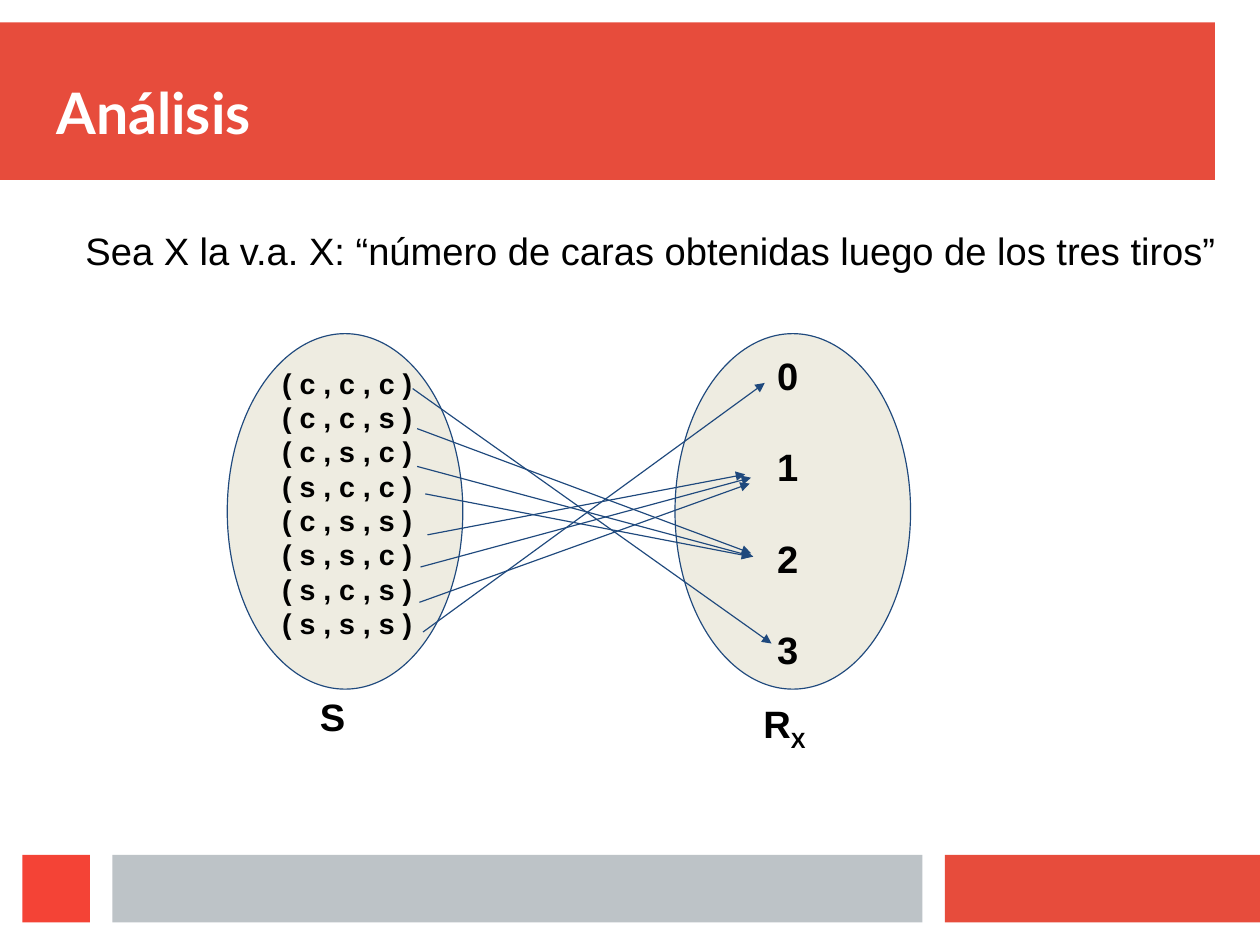
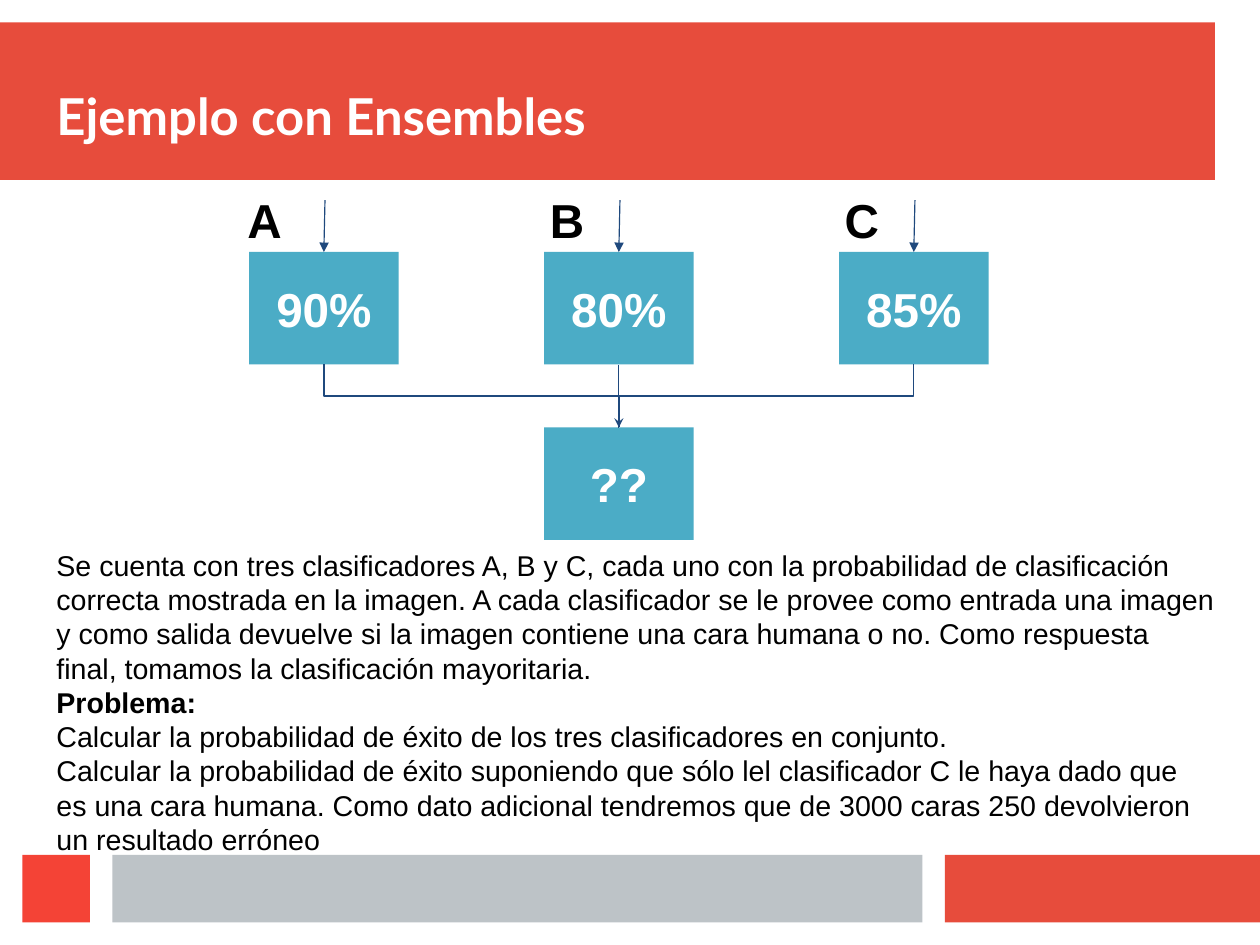
from pptx import Presentation
from pptx.dml.color import RGBColor
from pptx.enum.shapes import MSO_CONNECTOR, MSO_SHAPE
from pptx.enum.text import MSO_ANCHOR, MSO_AUTO_SIZE, PP_ALIGN
from pptx.oxml.ns import qn
from pptx.util import Inches, Mm, Pt
from lxml.etree import SubElement

# Shared grid: the slide is 56 columns by 42 rows of square cells
CELL = Mm(5)
COLUMNS, ROWS = 56, 42

RED = RGBColor(0xE7, 0x4C, 0x3C)
BRIGHT_RED = RGBColor(0xF4, 0x43, 0x36)
GRAY = RGBColor(0xBD, 0xC3, 0xC7)
CREAM = RGBColor(0xEE, 0xEC, 0xE1)
NAVY = RGBColor(0x1F, 0x49, 0x7D)
TEAL = RGBColor(0x4B, 0xAC, 0xC6)
BLACK = RGBColor(0, 0, 0)
WHITE = RGBColor(0xFF, 0xFF, 0xFF)

BANDS = [
    ((0, 1, 54, 7), RED),
    ((42, 38, 14, 3), RED),
    ((5, 38, 36, 3), GRAY),
    ((1, 38, 3, 3), BRIGHT_RED),
]
TITLE_AREA = (2, 2, 52, 5)

OUTCOMES = ["( c , c , c )", "( c , c , s )", "( c , s , c )", "( s , c , c )",
            "( c , s , s )", "( s , s , c )", "( s , c , s )", "( s , s , s )"]
# One arrow per outcome: start column, start row, end column, end row
OUTCOME_ARROWS = [
    (18.34, 17.27, 34.29, 28.6),
    (18.54, 19.05, 33.38, 24.59),
    (18.54, 20.73, 33.48, 24.74),
    (18.9, 21.95, 33.38, 24.74),
    (19, 23.77, 33.12, 21.08),
    (18.69, 25.2, 33.38, 21.23),
    (18.64, 26.77, 33.32, 21.49),
    (18.8, 28.09, 33.99, 17.02),
]

# Classifier name, accuracy, and distance from box edge to the name's centre
CLASSIFIERS = [("A", "90%", 0.69), ("B", "80%", 1.02), ("C", "85%", 1.02)]
BOX_LEFT, BOX_STEP, BOX_WIDTH, BOX_HEIGHT = 11.07, 13.11, 6.65, 5
CLASSIFIER_TOP, RESULT_TOP = 11.2, 19

PROBLEM = [
    "Se cuenta con tres clasificadores A, B y C, cada uno con la probabilidad de "
    "clasificación correcta mostrada en la imagen. A cada clasificador se le provee "
    "como entrada una imagen y como salida devuelve si la imagen contiene una cara "
    "humana o no. Como respuesta final, tomamos la clasificación mayoritaria.",
    "Problema:",
    "Calcular la probabilidad de éxito de los tres clasificadores en conjunto.",
    "Calcular la probabilidad de éxito suponiendo que sólo lel clasificador C le haya "
    "dado que es una cara humana. Como dato adicional tendremos que de 3000 caras 250 "
    "devolvieron un resultado erróneo",
]


def cells(*counts):
    return [round(count * CELL) for count in counts]


def place(shape, area):
    shape.left, shape.top, shape.width, shape.height = cells(*area)


def write(shape, lines, size, color=BLACK, bold=True, font="Arial",
          align=PP_ALIGN.LEFT, anchor=MSO_ANCHOR.TOP, gap=0):
    """Fill a shape with one paragraph per line, all in one style."""
    frame = shape.text_frame
    frame.text = "\n".join(lines)
    frame.word_wrap = True
    frame.auto_size = MSO_AUTO_SIZE.NONE
    frame.vertical_anchor = anchor
    frame.margin_left = frame.margin_right = Inches(0.1)
    frame.margin_top = frame.margin_bottom = Inches(0.1)
    for index, paragraph in enumerate(frame.paragraphs):
        paragraph.alignment = align
        paragraph.space_before = Pt(gap if index else 0)
        for run in paragraph.runs:
            run.font.name = font
            run.font.size = Pt(size)
            run.font.bold = bold
            run.font.color.rgb = color


def add_text(slide, area, lines, size, **style):
    box = slide.shapes.add_textbox(*cells(*area))
    write(box, lines, size, **style)
    return box


def add_filled(slide, kind, area, fill, line=None):
    shape = slide.shapes.add_shape(kind, *cells(*area))
    shape.shadow.inherit = False
    shape.fill.solid()
    shape.fill.fore_color.rgb = fill
    if line is None:
        shape.line.fill.background()
    else:
        shape.line.color.rgb = line
        shape.line.width = Pt(0.75)
    return shape


def add_line(slide, ends, kind=MSO_CONNECTOR.STRAIGHT, head=None):
    connector = slide.shapes.add_connector(kind, *cells(*ends))
    connector.line.color.rgb = NAVY
    connector.line.width = Pt(0.75)
    if head:
        SubElement(connector.line._get_or_add_ln(), qn("a:tailEnd"), type=head)
    SubElement(connector._element.spPr, qn("a:effectLst"))
    return connector


def join_down(slide, upper, lower, head=None):
    """Join the bottom of one box to the top of another, bending halfway."""
    start, end = upper.left + upper.width // 2, lower.left + lower.width // 2
    kind = MSO_CONNECTOR.STRAIGHT if start == end else MSO_CONNECTOR.ELBOW
    connector = add_line(slide, (0, 0, 1, 1), kind, head)
    connector.begin_connect(upper, 2)
    connector.end_connect(lower, 0)
    if start == end:
        return
    # A vertical elbow is a horizontal one turned a quarter about its centre
    top = upper.top + upper.height
    drop, span = lower.top - top, abs(end - start)
    connector.left = (start + end - drop) // 2
    connector.top = top + (drop - span) // 2
    connector.width, connector.height = drop, span
    transform = connector._element.spPr.find(qn("a:xfrm"))
    transform.set("rot", "16200000" if start < end else "5400000")
    transform.set("flipH", "1" if start < end else "0")


def build_master(presentation, slide):
    """Draw the bands once and move them behind everything on the master."""
    master = presentation.slide_master
    for position, (area, color) in enumerate(BANDS):
        band = add_filled(slide, MSO_SHAPE.RECTANGLE, area, color)
        master.shapes._spTree.insert(2 + position, band._element)
    place(master.placeholders[0], TITLE_AREA)


def add_title(slide, text, size):
    title = slide.shapes.title
    place(title, TITLE_AREA)
    write(title, [text], size, color=WHITE, font="Lato", anchor=MSO_ANCHOR.BOTTOM)


def build_analysis(slide):
    add_title(slide, "Análisis", 36)

    # Sample space and range
    for left in (10.1, 30):
        add_filled(slide, MSO_SHAPE.OVAL, (left, 14.83, 10.47, 15.8), CREAM, NAVY)
    add_text(slide, (12.04, 15.75, 8, 14), OUTCOMES, 18)
    add_text(slide, (3.3, 9.8, 52.7, 2.66),
             ["Sea X la v.a. X: “número de caras obtenidas luego de los tres tiros”"],
             24, bold=False, anchor=MSO_ANCHOR.MIDDLE)
    add_text(slide, (34.04, 15.14, 4, 15.5), ["0", "1", "2", "3"], 24, gap=28.8)

    # Mapping from outcomes to values
    for ends in OUTCOME_ARROWS:
        add_line(slide, ends, head="triangle")

    # Set names
    add_text(slide, (13.72, 30.33, 4, 3), ["S"], 24)
    range_name = add_text(slide, (33.43, 30.63, 5, 3), ["R"], 24)
    subscript = range_name.text_frame.paragraphs[0].add_run()
    subscript.text = "X"
    subscript.font.name, subscript.font.size = "Arial", Pt(24)
    subscript.font.bold, subscript.font.color.rgb = True, BLACK
    subscript.font._element.set("baseline", "-25000")


def add_box(slide, column, top, text):
    area = (BOX_LEFT + column * BOX_STEP, top, BOX_WIDTH, BOX_HEIGHT)
    box = add_filled(slide, MSO_SHAPE.RECTANGLE, area, TEAL)
    write(box, [text], 30, color=WHITE, align=PP_ALIGN.CENTER, anchor=MSO_ANCHOR.MIDDLE)
    return box


def build_ensembles(slide):
    add_title(slide, "Ejemplo con Ensembles", 32)

    # Problem statement
    body = slide.placeholders[1]
    place(body, (2, 23.83, 52.5, 13.6))
    write(body, PROBLEM, 18, bold=False)
    for paragraph in body.text_frame.paragraphs:
        properties = paragraph._p.get_or_add_pPr()
        properties.set("marL", "0")
        properties.set("indent", "0")
        SubElement(properties, qn("a:buNone"))
    body.text_frame.paragraphs[1].runs[0].font.bold = True

    # Classifiers feeding the joint result
    result = add_box(slide, 1, RESULT_TOP, "??")
    for column, (name, accuracy, offset) in enumerate(CLASSIFIERS):
        box = add_box(slide, column, CLASSIFIER_TOP, accuracy)
        left = BOX_LEFT + column * BOX_STEP
        add_text(slide, (left + offset - 2, 8.13, 4, 3.25), [name], 30,
                 align=PP_ALIGN.CENTER, anchor=MSO_ANCHOR.MIDDLE)
        middle = left + BOX_WIDTH / 2
        arrow = add_line(slide, (middle + 0.05, 8.89, middle, CLASSIFIER_TOP),
                         head="triangle")
        arrow.end_connect(box, 0)
        join_down(slide, box, result, "stealth" if name == "C" else None)


def main():
    presentation = Presentation()
    presentation.slide_width, presentation.slide_height = cells(COLUMNS, ROWS)
    layouts = presentation.slide_layouts
    analysis = presentation.slides.add_slide(layouts.get_by_name("Title Only"))
    ensembles = presentation.slides.add_slide(layouts.get_by_name("Title and Content"))
    build_master(presentation, analysis)
    build_analysis(analysis)
    build_ensembles(ensembles)
    presentation.save("out.pptx")


if __name__ == "__main__":
    main()
